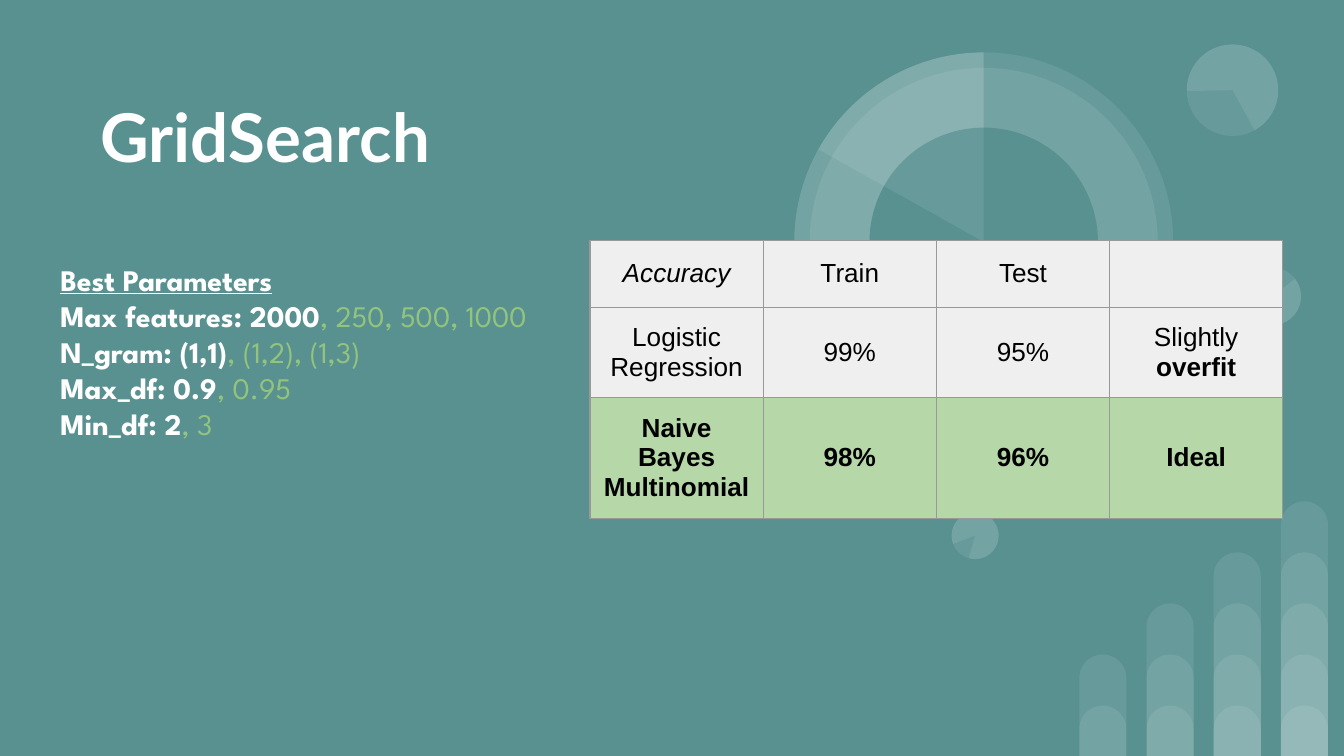
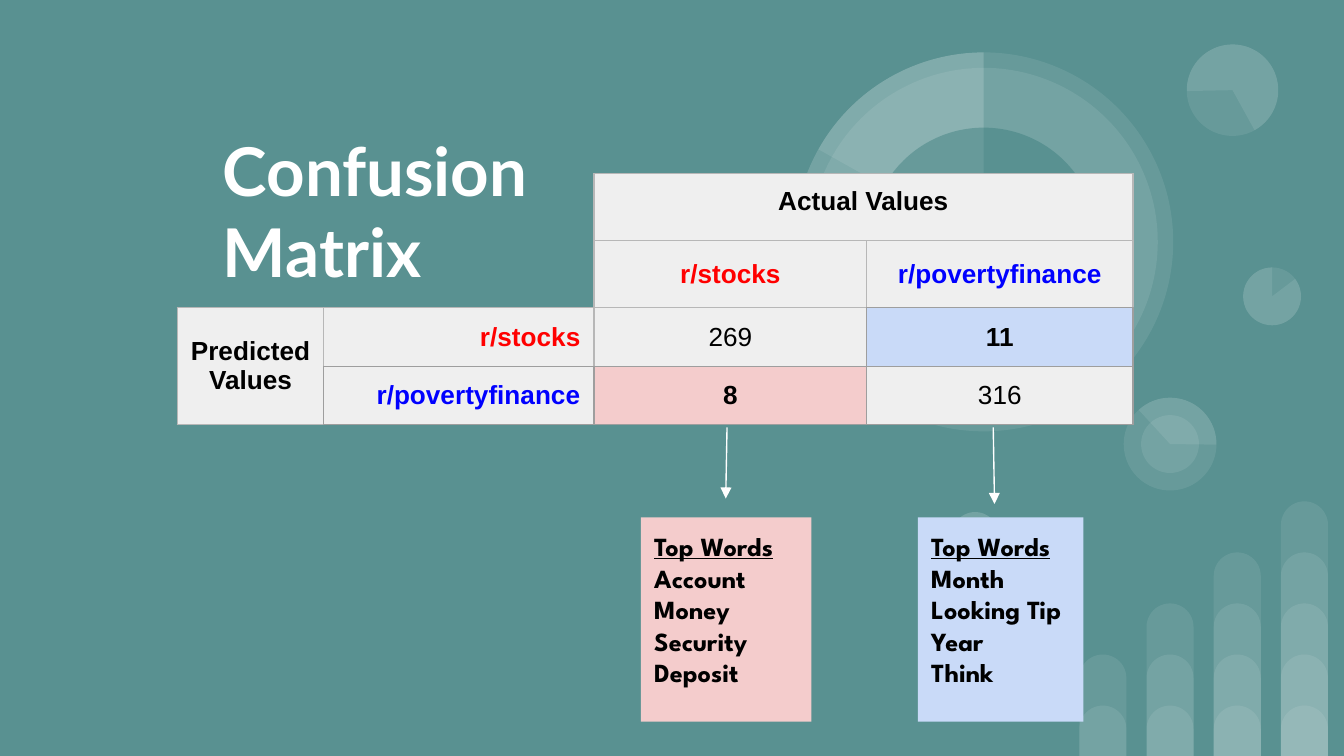
import pptx
import pptx.dml.color
import pptx.enum.shapes
import pptx.enum.text
import pptx.oxml.ns
import pptx.util
from lxml import etree

Pt = pptx.util.Pt
qn = pptx.oxml.ns.qn
SHAPE = pptx.enum.shapes.MSO_SHAPE
ALIGN = pptx.enum.text.PP_ALIGN
ANCHOR = pptx.enum.text.MSO_ANCHOR

# Shared look
WIDTH, HEIGHT = 720, 405
TEAL, WHITE, BLACK = "599191", "FFFFFF", "000000"
GREY, GREEN, LEAF = "EFEFEF", "B6D7A8", "93C47D"
PINK, SKY, RED, BLUE = "F4CCCC", "C9DAF8", "FF0000", "0000FF"
LIGHT_EDGE, DARK_EDGE = "B7B7B7", "9E9E9E"
INSET = 7.2
VEIL = 9  # opacity of the background decoration, percent

# Background dials: centre x, centre y, diameter, rotation, pie angles, fill
DIALS = [
    (681.5, 158.8, 31, 0, None, WHITE),
    (522.4, 286.9, 25.2, 196.2, None, WHITE),
    (626.8, 237.9, 49.7, 90, None, WHITE),
    (626.8, 237.9, 49.7, 90, (137.41, 270.77), WHITE),
    (626.8, 237.9, 31, 90, None, WHITE),
    (681.5, 158.8, 31, 0, (322.95, 270), WHITE),
    (660.3, 48.3, 49, 215.9, None, WHITE),
    (660.3, 48.3, 49, 215.9, (322.95, 205.23), WHITE),
    (527, 129.6, 203, 0, None, WHITE),
    (527, 129.6, 186.5, 34.1, None, WHITE),
    (527, 129.6, 203, 0, (146.69, 270), WHITE),
    (527, 129.6, 122.4, 34.1, None, TEAL),
    (527, 129.6, 203, 0, (209.24, 270), WHITE),
    (522.4, 286.9, 25.2, 196.2, (322.95, 270), WHITE),
]
BARS = dict(count=4, left=578.2, pitch=36, width=25.2, base=27, rise=27.35)

# Slide 1: chosen values, then the ones also tried
PARAMETERS = [
    ("Max features: 2000", ", 250, 500, 1000"),
    ("N_gram: (1,1)", ", (1,2), (1,3)"),
    ("Max_df: 0.9", ", 0.95"),
    ("Min_df: 2", ", 3"),
]


def cell(*runs, fill=GREY, edge=LIGHT_EDGE, align=ALIGN.CENTER, anchor=ANCHOR.MIDDLE, **font):
    return dict(runs=runs, fill=fill, edge=edge, align=align, anchor=anchor, font=font)


ACCURACY = [
    [cell("Accuracy", edge="999999", italic=True)]
    + [cell(text, edge="999999") for text in ("Train", "Test", "")],
    [cell(text, edge="999999") for text in ("Logistic Regression", "99%", "95%")]
    + [cell("Slightly ", ("overfit", dict(bold=True)), edge="999999")],
    [cell(text, fill=GREEN, edge="999999", bold=True)
     for text in ("Naive Bayes Multinomial", "98%", "96%", "Ideal")],
]

# Slide 2: None is an open corner cell, cell("") lies under a merge
CONFUSION = [
    [None, None, cell("Actual Values", anchor=ANCHOR.TOP, bold=True), cell("")],
    [None, None, cell("r/stocks", bold=True, color=RED),
     cell("r/povertyfinance", bold=True, color=BLUE)],
    [cell("Predicted Values", bold=True),
     cell("r/stocks", align=ALIGN.RIGHT, bold=True, color=RED),
     cell("269"),
     cell("11", fill=SKY, edge=DARK_EDGE, bold=True)],
    [cell(""),
     cell("r/povertyfinance", edge=DARK_EDGE, align=ALIGN.RIGHT, bold=True, color=BLUE),
     cell("8", fill=PINK, edge=DARK_EDGE, bold=True),
     cell("316", edge=DARK_EDGE)],
]
CONFUSION_MERGES = [((0, 2), (0, 3)), ((2, 0), (3, 0))]

# Box left, width, fill, lines; then its arrow
TOP_WORDS = [
    (343.4, 91.4, PINK, ["Account Money Security Deposit"], (389.5, 229, 388.8, 267.1)),
    (491.8, 88.6, SKY, ["Month Looking Tip", "Year", "Think"], (532.1, 229, 532.8, 270)),
]


def rgb(value):
    return pptx.dml.color.RGBColor.from_string(value)


def write(frame, paragraphs, align=ALIGN.LEFT, anchor=ANCHOR.TOP, **base):
    """Fill a frame; a paragraph is a list of texts or (text, format) pairs."""
    frame.word_wrap = True
    frame.vertical_anchor = anchor
    for index, runs in enumerate(paragraphs):
        paragraph = frame.paragraphs[0] if index == 0 else frame.add_paragraph()
        paragraph.alignment = align
        for part in runs:
            text, extra = (part, {}) if isinstance(part, str) else part
            if not text:
                continue
            style = {**base, **extra}
            run = paragraph.add_run()
            run.text = text
            run.font.name = style["font"]
            run.font.size = Pt(style["size"])
            run.font.color.rgb = rgb(style.get("color", BLACK))
            run.font.bold = style.get("bold", False)
            run.font.italic = style.get("italic", False)
            run.font.underline = style.get("underline", False)


def set_insets(frame):
    frame.margin_left = frame.margin_right = Pt(INSET)
    frame.margin_top = frame.margin_bottom = Pt(INSET)


def add_text(slide, left, top, width, height, paragraphs, **style):
    frame = slide.shapes.add_textbox(Pt(left), Pt(top), Pt(width), Pt(height)).text_frame
    set_insets(frame)
    write(frame, paragraphs, **style)


def add_shape(shapes, kind, left, top, width, height, fill, opacity=100):
    shape = shapes.add_shape(kind, Pt(left), Pt(top), Pt(width), Pt(height))
    shape.shadow.inherit = False
    shape.line.fill.background()
    shape.fill.solid()
    shape.fill.fore_color.rgb = rgb(fill)
    if opacity < 100:
        color = shape.element.spPr.find(".//" + qn("a:srgbClr"))
        etree.SubElement(color, qn("a:alpha")).set("val", str(opacity * 1000))
    return shape


def add_backdrop(slide):
    # Overlapping rounded bars, one level taller per column
    bars = slide.shapes.add_group_shape().shapes
    for column in range(BARS["count"]):
        for level in range(column + 2):
            height = BARS["base"] + BARS["rise"] * level
            bar = add_shape(bars, SHAPE.ROUND_2_SAME_RECTANGLE,
                            BARS["left"] + BARS["pitch"] * column, HEIGHT - height,
                            BARS["width"], height, WHITE, VEIL)
            bar.adjustments[0] = 0.5
            bar.adjustments[1] = 0
    # Discs and pie sectors
    dials = slide.shapes.add_group_shape().shapes
    for x, y, size, turn, angles, fill in DIALS:
        dial = add_shape(dials, SHAPE.PIE if angles else SHAPE.OVAL,
                         x - size / 2, y - size / 2, size, size, fill,
                         VEIL if fill == WHITE else 100)
        dial.rotation = turn
        for index, angle in enumerate(angles or ()):
            dial.adjustments[index] = angle * 0.6


def add_slide(deck, title, *title_box):
    slide = deck.slides.add_slide(deck.slide_layouts[6])
    slide.background.fill.solid()
    slide.background.fill.fore_color.rgb = rgb(TEAL)
    add_backdrop(slide)
    add_text(slide, *title_box, [[title]], anchor=ANCHOR.MIDDLE,
             font="Lato", size=36, color=WHITE, bold=True)
    return slide


def set_edge(target, side, color):
    line = etree.SubElement(target._tc.get_or_add_tcPr(), qn("a:ln" + side), w=str(Pt(0.75)))
    if color:
        fill = etree.SubElement(line, qn("a:solidFill"))
        etree.SubElement(fill, qn("a:srgbClr"), val=color)
    else:
        etree.SubElement(line, qn("a:noFill"))


def add_grid(slide, left, top, widths, heights, rows, merges=()):
    table = slide.shapes.add_table(len(heights), len(widths), Pt(left), Pt(top),
                                   Pt(sum(widths)), Pt(sum(heights))).table
    table.first_row = table.horz_banding = False
    for column, width in zip(table.columns, widths):
        column.width = Pt(width)
    for row, height in zip(table.rows, heights):
        row.height = Pt(height)
    for r, row in enumerate(rows):
        for c, content in enumerate(row):
            target = table.cell(r, c)
            set_insets(target)
            if content is None:
                # An open cell shows only the edges it shares with filled ones
                set_edge(target, "L", None)
                set_edge(target, "R", row[c + 1] and LIGHT_EDGE)
                set_edge(target, "T", None)
                set_edge(target, "B", rows[r + 1][c] and LIGHT_EDGE)
                target.fill.background()
                continue
            for side in "LRTB":
                set_edge(target, side, content["edge"])
            target.fill.solid()
            target.fill.fore_color.rgb = rgb(content["fill"])
            target.vertical_anchor = content["anchor"]
            write(target.text_frame, [content["runs"]], content["align"], None,
                  **{"font": "Arial", "size": 14, **content["font"]})
    for first, last in merges:
        table.cell(*first).merge(table.cell(*last))


def add_arrow(slide, *ends):
    arrow = slide.shapes.add_connector(pptx.enum.shapes.MSO_CONNECTOR.STRAIGHT, *map(Pt, ends))
    arrow.line.color.rgb = rgb(WHITE)
    arrow.line.width = Pt(0.75)
    etree.SubElement(arrow.line._get_or_add_ln(), qn("a:tailEnd"), type="triangle")
    etree.SubElement(arrow.element.spPr, qn("a:effectLst"))


def build_grid_search(deck):
    slide = add_slide(deck, "GridSearch", 46.8, 16.6, 239, 111.6)
    heading = ("Best Parameters", dict(underline=True))
    tried = dict(color=LEAF, bold=False)
    lines = [[heading]] + [[best, (others, tried)] for best, others in PARAMETERS]
    add_text(slide, 25.2, 133.2, 334.8, 54.7, lines,
             font="League Spartan", size=16, color=WHITE, bold=True)
    add_grid(slide, 316.1, 128.7, [92.8] * 4, [34.3, 46, 61.6], ACCURACY)


def build_confusion_matrix(deck):
    slide = add_slide(deck, "Confusion Matrix", 112.3, 60.5, 236.9, 104.4)
    add_grid(slide, 95, 92.9, [78.5, 144.7, 146.2, 142.6], [34.3, 34.8, 30, 30],
             CONFUSION, CONFUSION_MERGES)
    for left, width, fill, words, arrow_ends in TOP_WORDS:
        box = add_shape(slide.shapes, SHAPE.RECTANGLE, left, 277.2, width, 109.4, fill)
        set_insets(box.text_frame)
        heading = ("Top Words", dict(underline=True))
        write(box.text_frame, [[heading]] + [[line] for line in words],
              font="League Spartan", size=14, bold=True)
        add_arrow(slide, *arrow_ends)


def main():
    deck = pptx.Presentation()
    deck.slide_width, deck.slide_height = Pt(WIDTH), Pt(HEIGHT)
    build_grid_search(deck)
    build_confusion_matrix(deck)
    deck.save("out.pptx")


if __name__ == "__main__":
    main()
